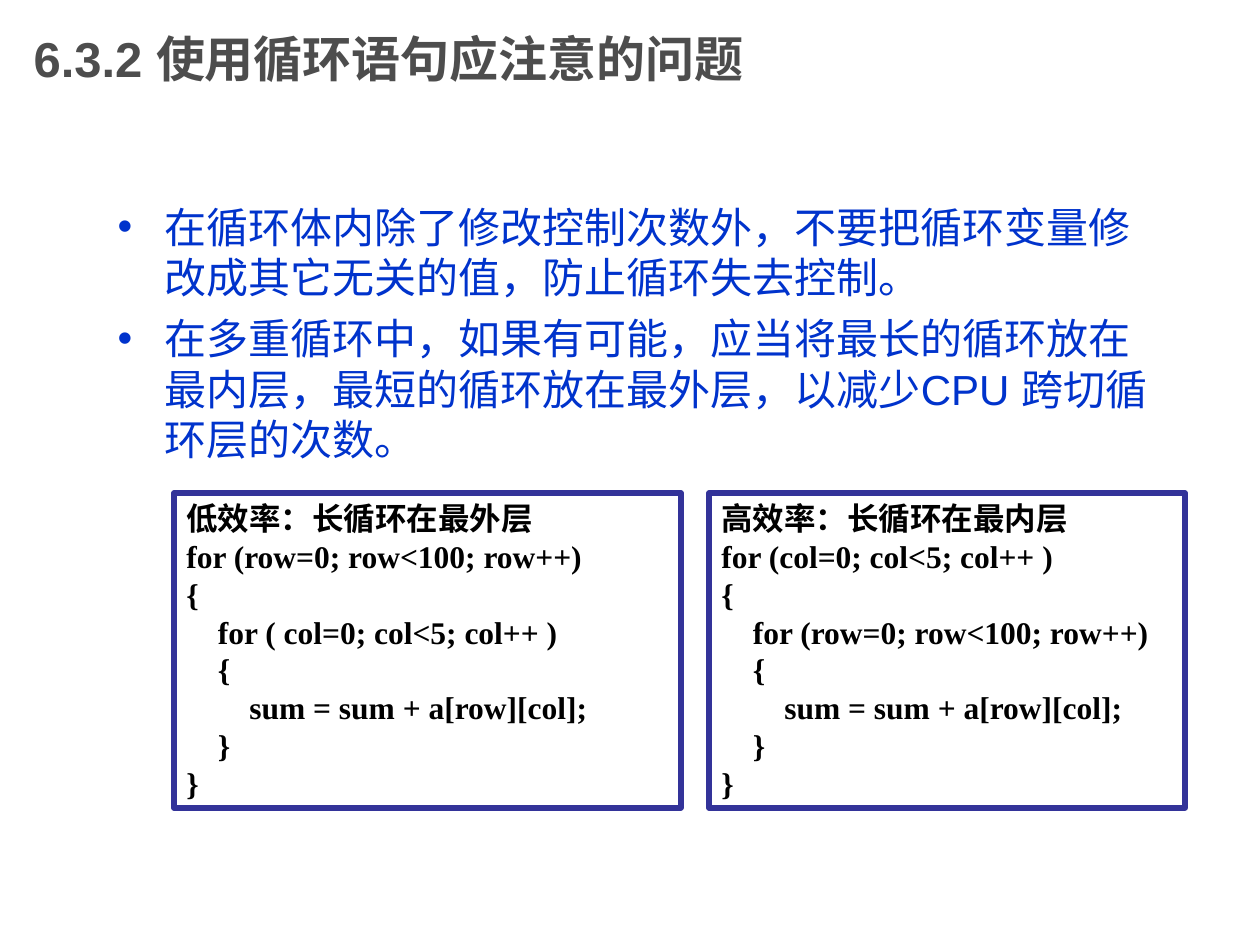
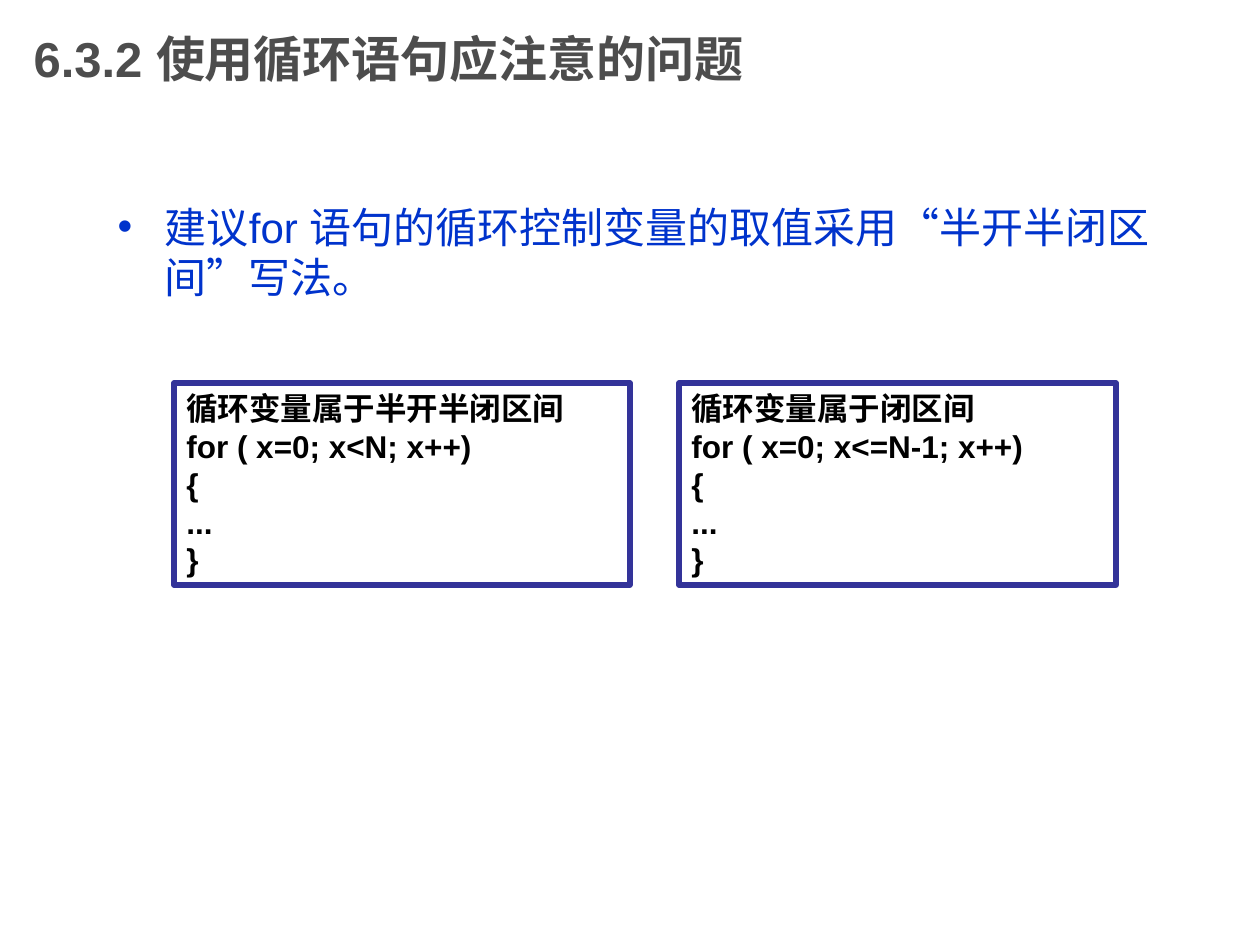
from pptx import Presentation
from pptx import util as u
from pptx.dml.color import RGBColor
from pptx.enum import shapes, text

PX = u.Inches(1) / 126
TITLE = "6.3.2 使用循环语句应注意的问题"
TITLE_FONT = {"name": "Arial", "size": u.Pt(28), "bold": True}
BODY_FONT = {"name": "Arial", "size": u.Pt(24), "bold": False}
CODE_FONT = {"size": u.Pt(18), "bold": True}
CODE_FRAME = {
    "word_wrap": True,
    "auto_size": text.MSO_AUTO_SIZE.SHAPE_TO_FIT_TEXT,
    "vertical_anchor": text.MSO_ANCHOR.TOP,
}

SLIDES = [
    {
        "bullets": [
            "在循环体内除了修改控制次数外，不要把循环变量修改成其它无关的值，防止循环失去控制。",
            "在多重循环中，如果有可能，应当将最长的循环放在最内层，最短的循环放在最外层，以减少CPU 跨切循环层的次数。",
        ],
        "font": "Times New Roman",
        "top": 493,
        "height": 315,
        "boxes": [
            (174, 507, """低效率：长循环在最外层
for (row=0; row<100; row++)
{
    for ( col=0; col<5; col++ )
    {
        sum = sum + a[row][col];
    }
}"""),
            (709, 476, """高效率：长循环在最内层
for (col=0; col<5; col++ )
{
    for (row=0; row<100; row++)
    {
        sum = sum + a[row][col];
    }
}"""),
        ],
    },
    {
        "bullets": ["建议for 语句的循环控制变量的取值采用“半开半闭区间”写法。"],
        "font": "Arial",
        "top": 383,
        "height": 202,
        "boxes": [
            (174, 456, """循环变量属于半开半闭区间
for ( x=0; x<N; x++)
{
...
}"""),
            (679, 437, """循环变量属于闭区间
for ( x=0; x<=N-1; x++)
{
...
}"""),
        ],
    },
]


def color(value):
    return RGBColor.from_string(value)


def fill_text(shape, content, box, font, font_color, frame):
    for name, pixels in zip(("left", "top", "width", "height"), box):
        setattr(shape, name, round(pixels * PX))
    shape.text_frame.text = content
    for name, value in frame.items():
        setattr(shape.text_frame, name, value)
    for paragraph in shape.text_frame.paragraphs:
        paragraph.alignment = text.PP_ALIGN.LEFT
        paragraph.space_before = u.Pt(0)
        for name, value in font.items():
            setattr(paragraph.font, name, value)
        paragraph.font.color.rgb = color(font_color)


presentation = Presentation()
presentation.slide_width = round(1260 * PX)
presentation.slide_height = round(945 * PX)

for content in SLIDES:
    slide = presentation.slides.add_slide(presentation.slide_layouts[1])
    fill_text(slide.shapes.title, TITLE, (21, 0, 945, 116), TITLE_FONT, "4D4D4D",
              {"vertical_anchor": text.MSO_ANCHOR.MIDDLE, "auto_size": text.MSO_AUTO_SIZE.NONE})

    body = slide.placeholders[1]
    fill_text(body, "\n".join(content["bullets"]), (105, 195, 1072, 609), BODY_FONT, "0033CC",
              {"vertical_anchor": text.MSO_ANCHOR.TOP, "auto_size": text.MSO_AUTO_SIZE.NONE})
    for paragraph in body.text_frame.paragraphs[1:]:
        paragraph.space_before = u.Pt(6)

    for left, width, code in content["boxes"]:
        box = (left, content["top"], width, content["height"])
        code_box = slide.shapes.add_shape(shapes.MSO_SHAPE.RECTANGLE, 0, 0, 0, 0)
        code_box.shadow.inherit = False
        code_box.fill.solid()
        code_box.fill.fore_color.rgb = color("FFFFFF")
        code_box.line.color.rgb = color("333399")
        code_box.line.width = u.Pt(3)
        fill_text(code_box, code, box, CODE_FONT | {"name": content["font"]}, "000000", CODE_FRAME)

presentation.save("out.pptx")
